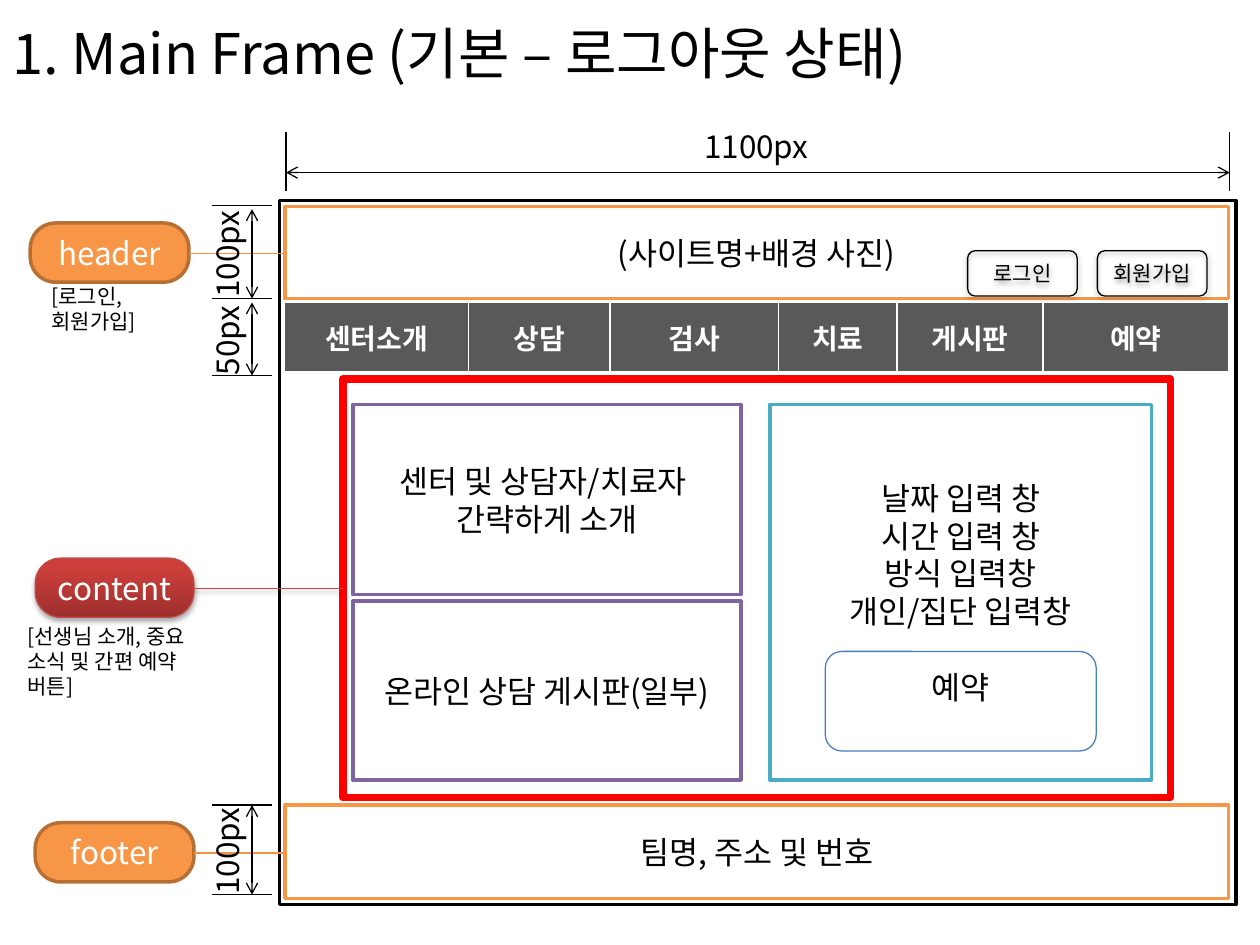
"""Build the logged-out main frame wireframe slide."""
from lxml import etree
from pptx import Presentation
from pptx import util as u
from pptx.dml.color import RGBColor
from pptx.enum import shapes, text
from pptx.oxml.ns import qn

PX = 9144  # EMU
FONT = "Noto Sans CJK KR"
COLORS = {
    "black": "000000", "white": "FFFFFF", "orange": "F79646", "brown": "B76F34",
    "link": "F69240", "gray": "595959", "red": "FF0000", "purple": "8064A2",
    "teal": "4BACC6", "blue": "4B7EBC", "brick": "BF4C48",
    "dark_red": "9C2F2D", "light_red": "CB3E3A",
}
RGB = {name: RGBColor.from_string(value) for name, value in COLORS.items()}
RECT = shapes.MSO_SHAPE.RECTANGLE
ROUND = shapes.MSO_SHAPE.ROUNDED_RECTANGLE
CENTER, LEFT = text.PP_ALIGN.CENTER, text.PP_ALIGN.LEFT

prs = Presentation()
prs.slide_width, prs.slide_height = 1000 * PX, 750 * PX
s = prs.slides.add_slide(prs.slide_layouts[6])


def write(tf, lines, size=18, color="black", align=CENTER, bold=False):
    for i, line in enumerate(lines):
        p = tf.paragraphs[0] if i == 0 else tf.add_paragraph()
        p.alignment = align
        r = p.add_run()
        r.text = line
        r.font.size, r.font.name, r.font.bold = u.Pt(size), FONT, bold
        r.font.color.rgb = RGB[color]
        etree.SubElement(r._r.get_or_add_rPr(), qn("a:ea")).set("typeface", FONT)


def draw(kind, at, fill=None, edge="black", pt=2.0, arrows=False):
    x, y, w, h = [v * PX for v in at]
    if kind == "line":
        sp = s.shapes.add_connector(shapes.MSO_CONNECTOR.STRAIGHT, x, y, x + w, y + h)
    else:
        sp = s.shapes.add_shape(kind, x, y, w, h)
        sp.shadow.inherit = False
        sp.text_frame.word_wrap = True
        sp.text_frame.vertical_anchor = text.MSO_ANCHOR.MIDDLE
        if fill:
            sp.fill.solid()
            sp.fill.fore_color.rgb = RGB[fill]
        else:
            sp.fill.background()
    sp.line.color.rgb = RGB[edge]
    sp.line.width = u.Pt(pt)
    if arrows:
        for end in ("a:headEnd", "a:tailEnd"):
            etree.SubElement(sp.line._ln, qn(end)).set("type", "arrow")
    if kind == "line":
        etree.SubElement(sp._element.spPr, qn("a:effectLst"))
    return sp


draw(RECT, (222, 159, 759, 559), "white")
for y, h, label in ((164, 73, "(사이트명+배경 사진)"), (639, 74, "팀명, 주소 및 번호")):
    band = draw(RECT, (226, y, 749, h), "white", "orange")
    write(band.text_frame, [label])

for x, y, label in ((24, 177, "header"), (28, 653, "footer")):
    tag = draw(ROUND, (x, y, 126, 47), "orange", "brown")
    tag.adjustments[0] = 0.43
    write(tag.text_frame, [label], color="white")
    draw("line", (x + 126, y + 24, 100 - x, 0), edge="link", pt=0.75)

shadowed = []
for x, label in ((871, "회원가입"), (768, "로그인")):
    button = draw(ROUND, (x, 199, 87, 36), pt=0.75)
    tf = button.text_frame
    tf.margin_left = tf.margin_right = tf.margin_top = tf.margin_bottom = 0
    write(tf, [label], 12)
    shadowed.append((button, 20000, 38000))

menu = (("센터소개", 146), ("상담", 112), ("검사", 134),
        ("치료", 94), ("게시판", 116), ("예약", 147))
table = s.shapes.add_table(1, len(menu), 226 * PX, 240 * PX, 749 * PX, 55 * PX).table
table.horz_banding = False
for i, (label, width) in enumerate(menu):
    table.columns[i].width = width * PX
    cell = table.cell(0, i)
    cell.fill.solid()
    cell.fill.fore_color.rgb = RGB["gray"]
    cell.vertical_anchor = text.MSO_ANCHOR.MIDDLE
    write(cell.text_frame, [label], 16, "white", bold=True)

draw(RECT, (272, 301, 657, 332), "white", "red", 4.5)
content = draw(ROUND, (28, 443, 126, 47), edge="brick", pt=0.75)
content.adjustments[0] = 0.43
content.fill.gradient()
content.fill.gradient_angle = 90
for stop, color, position in zip(content.fill.gradient_stops, ("dark_red", "light_red"), (0, 0.8)):
    stop.color.rgb = RGB[color]
    stop.position = position
write(content.text_frame, ["content"], color="white")
content_link = draw("line", (154, 467, 118, 0), edge="brick", pt=0.75)
shadowed += [(content, 23000, 35000), (content_link, 23000, 35000)]

for sp, dist, alpha in shadowed:
    effects = sp._element.spPr.find(qn("a:effectLst"))
    shadow = etree.SubElement(effects, qn("a:outerShdw"), blurRad="40000",
                              dist=str(dist), dir="5400000", rotWithShape="0")
    tint = etree.SubElement(shadow, qn("a:srgbClr"), val=COLORS["black"])
    etree.SubElement(tint, qn("a:alpha"), val=str(alpha))

panels = (
    ((280, 321, 308, 151), "purple", ["센터 및 상담자/치료자 ", "간략하게 소개"]),
    ((280, 477, 308, 142), "purple", ["온라인 상담 게시판(일부)"]),
    ((611, 321, 303, 298), "teal",
     ["날짜 입력 창", "시간 입력 창", "방식 입력창", "개인/집단 입력창", "예약"]),
)
for at, edge, lines in panels:
    panel = draw(RECT, at, "white", edge)
    write(panel.text_frame, lines)
panel.text_frame.paragraphs[-1].space_before = u.Pt(21.5)
draw(ROUND, (655, 517, 215, 79), edge="blue", pt=0.75)

for x in (227, 976):
    draw("line", (x, 105, 0, 47), pt=0.75)
draw("line", (227, 137, 749, 0), pt=0.75, arrows=True)
for y in (163, 237, 298, 639, 710):
    draw("line", (168, y, 48, 0), pt=0.75)
for top, bottom in ((166, 237), (240, 298), (639, 710)):
    draw("line", (200, bottom, 0, top - bottom), pt=0.75, arrows=True)

captions = (
    ((0, -1, 971, 85), ["1. Main Frame (기본 – 로그아웃 상태)"], 32, True, 0),
    ((31, 220, 118, 50), ["[로그인,", "회원가입]"], 12, True, 0),
    ((12, 490, 157, 71), ["[선생님 소개, 중요 소식 및 간편 예약 버튼]"], 12, True, 0),
    ((549, 96, 106, 40), ["1100px"], 18, False, 0),
    ((134, 180, 92, 40), ["100px"], 18, False, 270),
    ((142, 249, 77, 40), ["50px"], 18, False, 270),
    ((134, 654, 92, 40), ["100px"], 18, False, 270),
)
for at, lines, size, wrap, turn in captions:
    caption = s.shapes.add_textbox(*[v * PX for v in at])
    caption.rotation = turn
    tf = caption.text_frame
    tf.word_wrap = wrap
    if size == 32:
        tf.vertical_anchor = text.MSO_ANCHOR.MIDDLE
    else:
        tf.auto_size = text.MSO_AUTO_SIZE.SHAPE_TO_FIT_TEXT
    write(tf, lines, size, align=LEFT)

prs.save("out.pptx")
